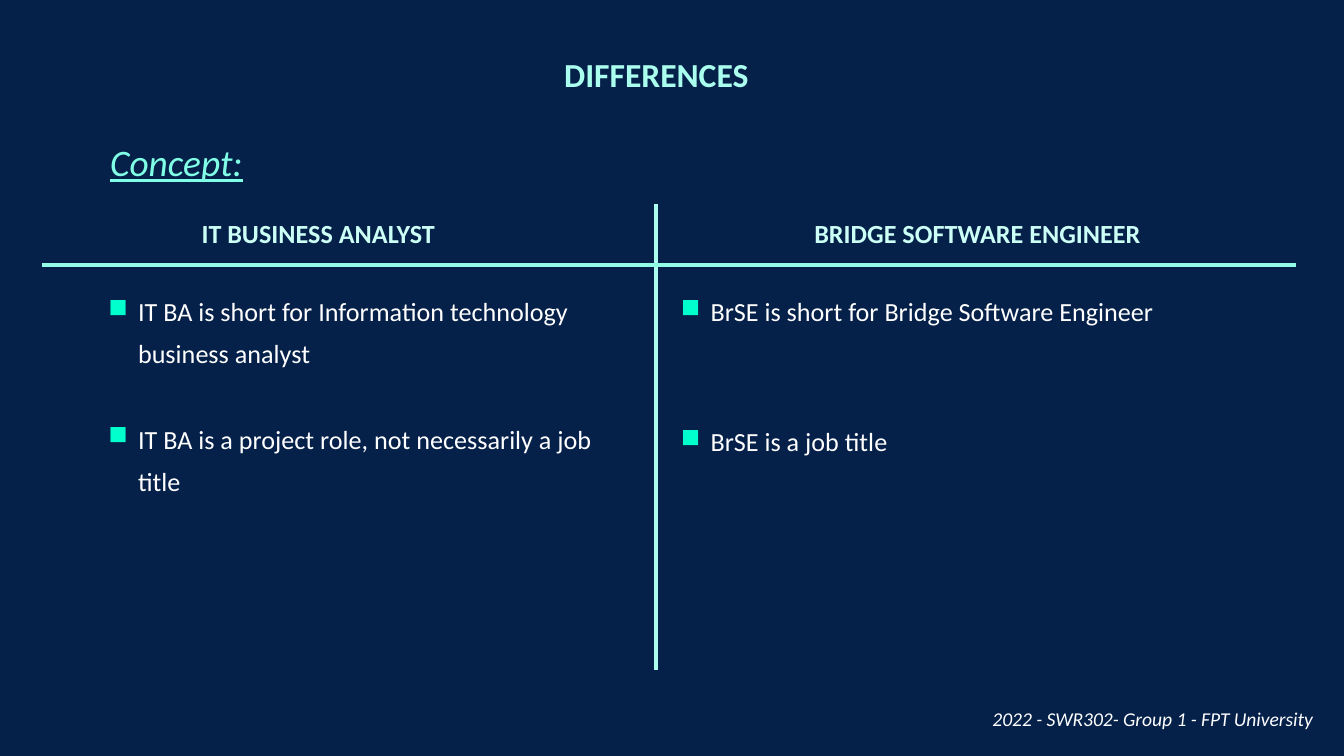
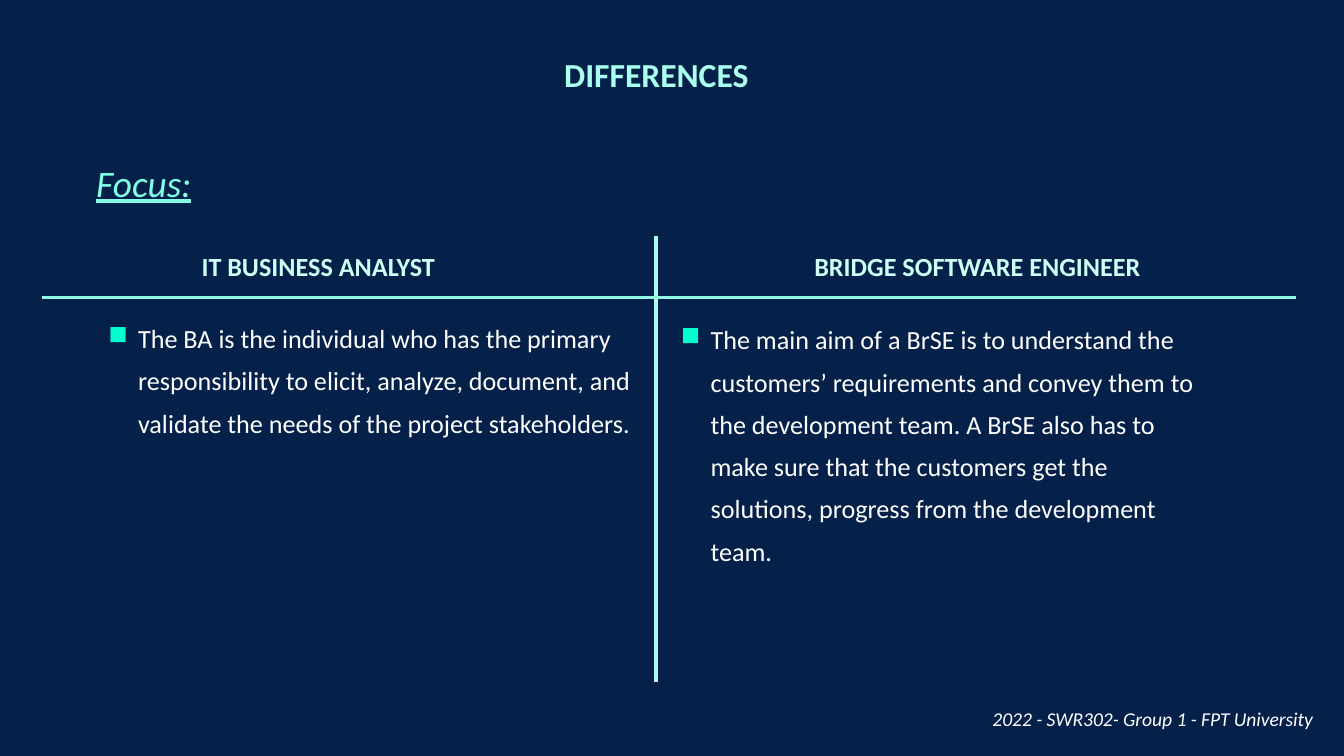
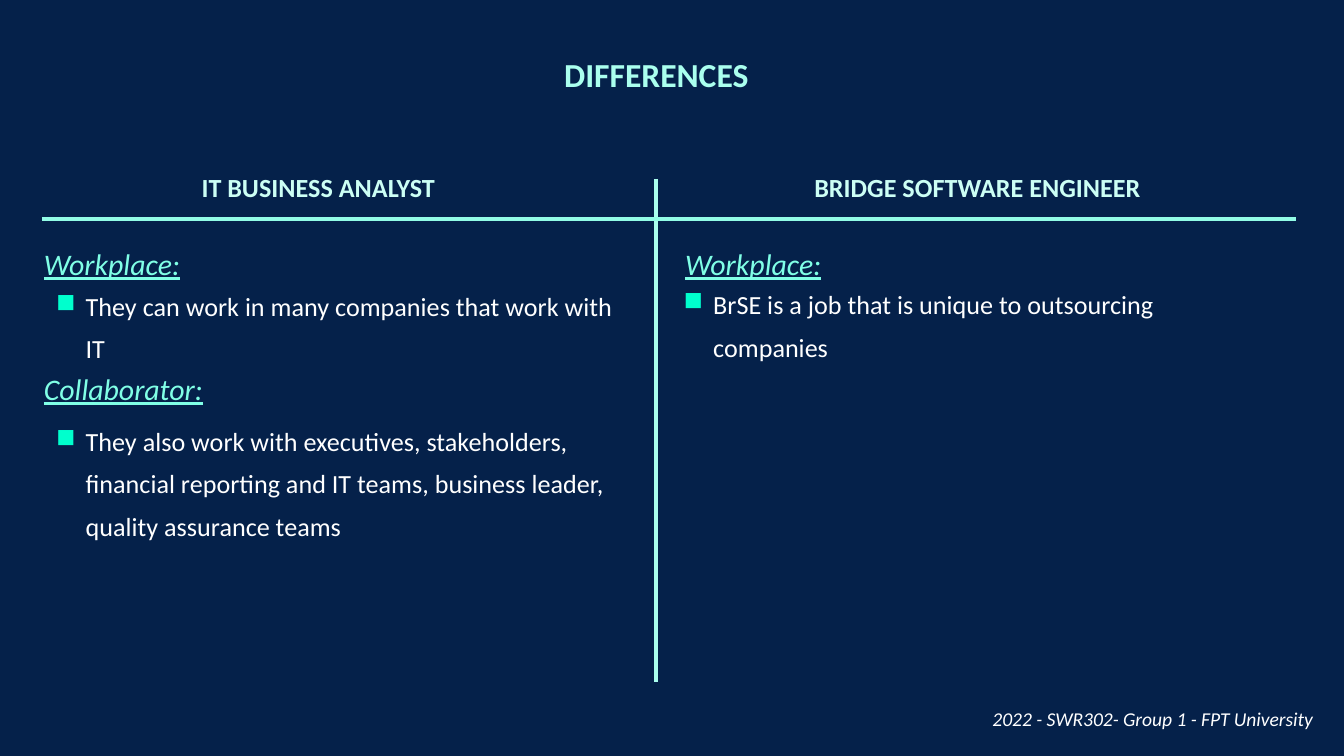
"""Build three slides that compare an IT business analyst with a bridge software engineer."""
import lxml.etree
import pptx
import pptx.dml.color
import pptx.enum.shapes
import pptx.enum.text
import pptx.oxml.ns
import pptx.util

Cm = pptx.util.Cm
Pt = pptx.util.Pt
ALIGN = pptx.enum.text.PP_ALIGN
FIT = pptx.enum.text.MSO_AUTO_SIZE
qn = pptx.oxml.ns.qn

COLOURS = {
    "background": "05214A",
    "title": "AAFFEE",
    "topic": "80FFE6",
    "heading": "CCFFF5",
    "divider": "AAFFEE",
    "rule": "92FCE6",
    "bullet": "00FFCD",
    "text": "FFFFFF",
}
FORMATS = {
    "title": {"size": Pt(18), "bold": True},
    "topic": {"size": Pt(20), "italic": True, "underline": True},
    "subtopic": {"size": Pt(16), "italic": True, "underline": True},
    "heading": {"size": Pt(14), "bold": True},
    "body": {"size": Pt(14)},
    "footer": {"size": Pt(10.5), "italic": True},
}
FONT_COLOURS = {"subtopic": "topic", "body": "text", "footer": "text"}
FRAME = {"word_wrap": True, "auto_size": FIT.NONE,
         "vertical_anchor": pptx.enum.text.MSO_ANCHOR.TOP}
LABEL_FRAME = {"word_wrap": False, "auto_size": FIT.SHAPE_TO_FIT_TEXT}
INSETS = {"margin_" + side: Cm(0.25) for side in ("left", "top", "right", "bottom")}


def colour(name):
    return pptx.dml.color.RGBColor.from_string(COLOURS[name])


def apply(target, values):
    for name, value in values.items():
        setattr(target, name, value)


class Comparison:
    def __init__(self):
        self.deck = pptx.Presentation()
        apply(self.deck, {"slide_width": Cm(25.4), "slide_height": Cm(14.29)})
        fill = self.deck.slide_master.background.fill
        fill.solid()
        fill.fore_color.rgb = colour("background")
        self.page = None

    def span(self, paragraph, text, style):
        span = paragraph.add_run()
        span.text = text
        apply(span.font, {"name": "Calibri", **FORMATS[style]})
        span.font.color.rgb = colour(FONT_COLOURS.get(style, style))

    def box(self, left, top, width, height, frame):
        box = self.page.shapes.add_textbox(Cm(left), Cm(top), Cm(width), Cm(height))
        apply(box.text_frame, frame)
        return box.text_frame

    def start(self, title):
        self.page = self.deck.slides.add_slide(self.deck.slide_layouts[5])
        box = self.page.shapes.title
        apply(box, {"left": Cm(9.19), "top": Cm(0.76),
                    "width": Cm(6.43), "height": Cm(2.62)})
        apply(box.text_frame, {**FRAME, **INSETS})
        paragraph = box.text_frame.paragraphs[0]
        paragraph.alignment = ALIGN.CENTER
        self.span(paragraph, title, "title")
        self.footer("2022 - SWR302- Group 1 - FPT University")

    def footer(self, text):
        paragraph = self.box(15.32, 13.11, 9.75, 0.84, FRAME).paragraphs[0]
        apply(paragraph, {"alignment": ALIGN.RIGHT, "line_spacing": 1.3})
        self.span(paragraph, text, "footer")

    def label(self, text, left, top, width, height, style):
        frame = self.box(left, top, width, height, LABEL_FRAME)
        self.span(frame.paragraphs[0], text, style)

    def line(self, start, end, name):
        line = self.page.shapes.add_connector(
            pptx.enum.shapes.MSO_CONNECTOR.STRAIGHT, *map(Cm, start + end))
        line.line.color.rgb = colour(name)
        line.line.width = Pt(1.75)
        properties = line._element.find(qn("p:spPr"))
        lxml.etree.SubElement(properties, qn("a:effectLst"))

    def columns(self, heading_top, divider_top, divider_bottom):
        rule_top = heading_top + 1.02
        self.line((12.4, divider_top), (12.4, divider_bottom), "divider")
        self.label("IT BUSINESS ANALYST", 3.56, heading_top, 5.46, 0.86, "heading")
        self.label("BRIDGE SOFTWARE ENGINEER", 15.14, heading_top, 7.21, 0.86, "heading")
        self.line((0.79, rule_top), (24.49, rule_top), "rule")

    def bullets(self, left, top, items, gap=0, width=10.57, height=4.37):
        frame = self.box(left, top, width, height, {**FRAME, **INSETS})
        for index, text in enumerate(items):
            paragraph = frame.add_paragraph() if index else frame.paragraphs[0]
            properties = paragraph._p.get_or_add_pPr()
            properties.set("marL", str(Cm(0.66)))
            properties.set("indent", str(Cm(-0.56)))
            tint = lxml.etree.SubElement(properties, qn("a:buClr"))
            lxml.etree.SubElement(tint, qn("a:srgbClr"), val=COLOURS["bullet"])
            lxml.etree.SubElement(properties, qn("a:buChar"), char="■")
            paragraph.line_spacing = 1.35
            if index:
                paragraph.space_before = Pt(gap)
            self.span(paragraph, text, "body")


def main():
    show = Comparison()

    show.start("DIFFERENCES")
    show.columns(3.99, 3.86, 12.67)
    show.bullets(1.7, 5.13, [
        "IT BA is short for Information technology business analyst",
        "IT BA is a project role, not necessarily a job title"], gap=23)
    show.bullets(12.52, 5.13, [
        "BrSE is short for Bridge Software Engineer",
        "BrSE is a job title"], gap=47)
    show.label("Concept:", 1.83, 2.51, 3.07, 1.12, "topic")

    show.start("DIFFERENCES")
    show.columns(4.6, 4.47, 12.9)
    show.bullets(1.7, 5.64, [
        "The BA is the individual who has the primary responsibility to elicit, "
        "analyze, document, and validate the needs of the project stakeholders."])
    show.bullets(12.52, 5.66, [
        "The main aim of a BrSE is to understand the customers’ requirements and "
        "convey them to the development team. A BrSE also has to make sure that the "
        "customers get the solutions, progress from the development team."])
    show.label("Focus:", 1.57, 2.9, 2.31, 1.12, "topic")

    show.start("DIFFERENCES")
    show.columns(3.12, 3.38, 12.9)
    show.bullets(12.57, 5, ["BrSE is a job that is unique to outsourcing companies"])
    show.bullets(0.71, 5.03, [
        "They can work in many companies that work with IT",
        "They also work with executives, stakeholders, financial reporting and IT "
        "teams, business leader, quality assurance teams"],
        gap=27, width=11.48, height=9.2)
    for text, left, top, width in (("Workplace:", 0.58, 4.52, 3.12),
                                   ("Collaborator:", 0.58, 6.88, 3.53),
                                   ("Workplace:", 12.7, 4.52, 3.12)):
        show.label(text, left, top, width, 0.94, "subtopic")

    show.deck.save("out.pptx")


if __name__ == "__main__":
    main()
